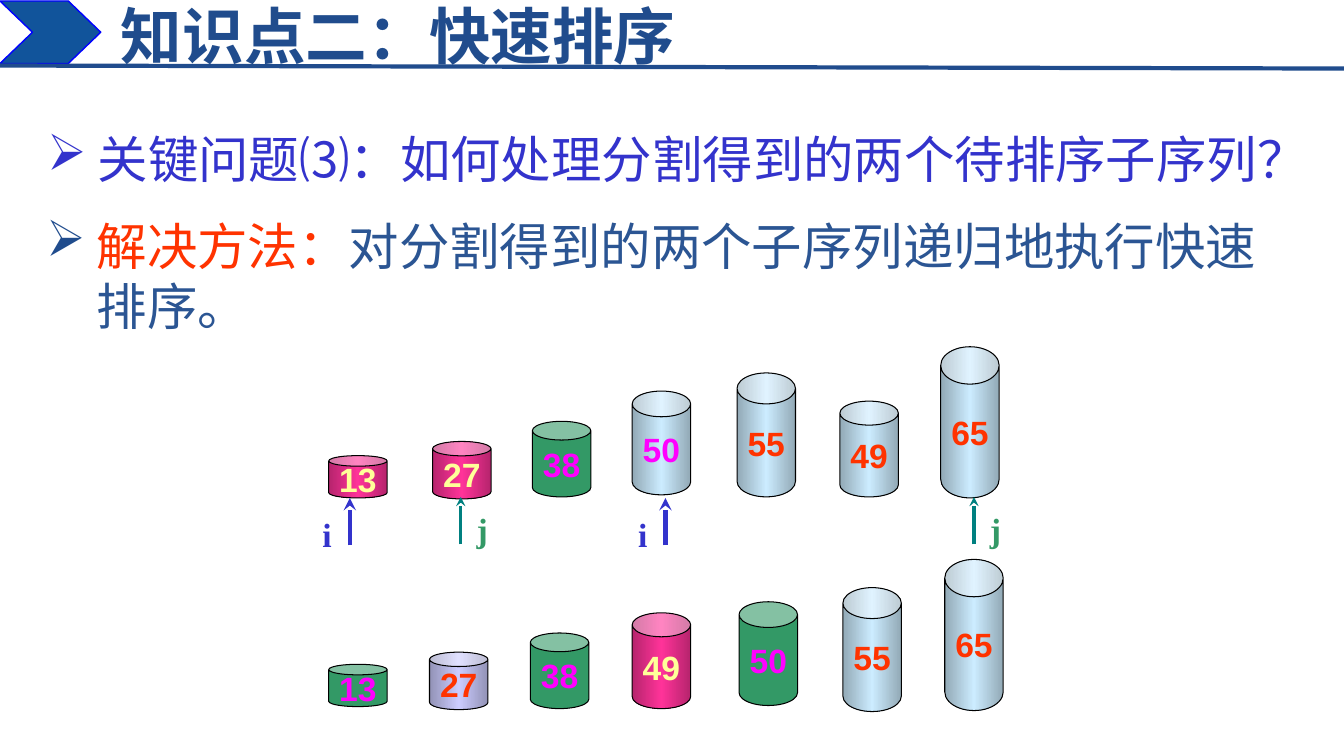
import copy

import lxml.etree
import pptx
import pptx.dml.color
import pptx.enum.shapes
import pptx.enum.text
import pptx.oxml.ns
import pptx.util

RGBColor = pptx.dml.color.RGBColor
NAVY = RGBColor(0x20, 0x4C, 0x8D)
CHEVRON_BLUE = RGBColor(0x11, 0x54, 0x9B)
PURE_BLUE = RGBColor(0x00, 0x00, 0xFF)
BODY_BLUE = RGBColor(0x2B, 0x55, 0x93)
VIOLET = RGBColor(0x33, 0x33, 0xCC)
TEAL = RGBColor(0x00, 0x80, 0x80)
GREEN = RGBColor(0x33, 0x99, 0x66)
ORANGE = RGBColor(0xFF, 0x33, 0x00)
MAGENTA = RGBColor(0xFF, 0x00, 0xFF)
YELLOW = RGBColor(0xFF, 0xFF, 0x99)
BLACK = RGBColor(0x00, 0x00, 0x00)
PINK = RGBColor(0xFF, 0x33, 0x99)
DARK_PINK = RGBColor(0xB6, 0x24, 0x6D)
ICE = RGBColor(0xCC, 0xEC, 0xFF)
DARK_ICE = RGBColor(0x92, 0xA9, 0xB6)
LILAC = RGBColor(0xCC, 0xCC, 0xFF)
DARK_LILAC = RGBColor(0x92, 0x92, 0xB6)

CAN_WIDTH = 0.58
CAN_SIZES = {
    13: (0.42, 0.25), 27: (0.57, 0.25), 38: (0.75, 0.32), 49: (0.95, 0.41),
    50: (1.03, 0.44), 55: (1.23, 0.53), 65: (1.5, 0.64),
}
CAN_LOOKS = {
    "sorted": ((GREEN,), MAGENTA),
    "moved": ((DARK_PINK, PINK), YELLOW),
    "single": ((DARK_LILAC, LILAC), ORANGE),
    "waiting": ((DARK_ICE, ICE), ORANGE),
    "pivot": ((DARK_ICE, ICE), MAGENTA),
}
CANS = [
    (13, 3.26, 4.94, "moved"), (27, 4.29, 4.95, "moved"),
    (38, 5.28, 4.93, "sorted"), (50, 6.27, 4.91, "pivot"),
    (55, 7.31, 4.93, "waiting"), (49, 8.33, 4.93, "waiting"),
    (65, 9.33, 4.94, "waiting"),
    (13, 3.26, 7.01, "sorted"), (27, 4.26, 7.04, "single"),
    (38, 5.26, 7.03, "sorted"), (49, 6.27, 7.03, "moved"),
    (50, 7.33, 7.0, "sorted"), (55, 8.36, 7.06, "waiting"),
    (65, 9.37, 7.05, "waiting"),
]
POINTERS = {
    "i": {"line": VIOLET, "text": VIOLET, "weight": 3, "tip": 4.94, "offset": -0.37, "top": 5.05},
    "j": {"line": TEAL, "text": GREEN, "weight": 2.25, "tip": 4.93, "offset": 0.06, "top": 5},
}


class SlideBuilder:
    serif = "Times New Roman"
    sans = "Arial"

    def __init__(self, deck):
        self.page = deck.slides.add_slide(deck.slide_layouts[5])
        self.column = self.row = pptx.util.Inches(1)

    def place(self, left, top, width, height):
        return (round(left * self.column), round(top * self.row),
                round(width * self.column), round(height * self.row))

    def apply(self, target, values):
        for name, value in values.items():
            setattr(target, name, value)

    def add_span(self, para, text, size, color, bold=False, font=serif):
        span = para.add_run()
        span.text = text
        self.apply(span.font, {"name": font, "size": pptx.util.Pt(size), "bold": bold})
        span.font.color.rgb = color

    def add_child(self, parent, tag, **attributes):
        return lxml.etree.SubElement(parent, pptx.oxml.ns.qn(tag), attributes)

    def title(self, area, text):
        box = self.page.shapes.title
        self.apply(box, dict(zip(("left", "top", "width", "height"), self.place(*area))))
        self.apply(box.text_frame, {
            "word_wrap": True,
            "auto_size": pptx.enum.text.MSO_AUTO_SIZE.NONE,
            "vertical_anchor": pptx.enum.text.MSO_ANCHOR.MIDDLE,
        })
        para = box.text_frame.paragraphs[0]
        para.alignment = pptx.enum.text.PP_ALIGN.JUSTIFY
        self.add_span(para, text, 44, NAVY, True)

    def text(self, area, spans, size, bold=False, bullet=None):
        box = self.page.shapes.add_textbox(*self.place(*area))
        box.text_frame.word_wrap = True
        para = box.text_frame.paragraphs[0]
        if bullet:
            properties = para._p.get_or_add_pPr()
            indent = round(self.column / 2)
            properties.set("marL", str(indent))
            properties.set("indent", str(-indent))
            color = self.add_child(properties, "a:buClr")
            self.add_child(color, "a:srgbClr", val=str(bullet))
            self.add_child(properties, "a:buChar", char="➢")
        for words, color in spans:
            self.add_span(para, words, size, color, bold)

    def shape(self, kind, area, adjustment, fills, outline, weight):
        shape = self.page.shapes.add_shape(kind, *self.place(*area))
        shape.shadow.inherit = False
        shape.adjustments[0] = adjustment
        if len(fills) == 1:
            shape.fill.solid()
            shape.fill.fore_color.rgb = fills[0]
        else:
            edge, center = fills
            shape.fill.gradient()
            shape.fill.gradient_angle = 0
            stops = shape._element.spPr.find(".//" + pptx.oxml.ns.qn("a:gsLst"))
            stops.append(copy.deepcopy(stops[0]))
            for stop, position, color in zip(shape.fill.gradient_stops, (0, 0.5, 1), (edge, center, edge)):
                stop.position = position
                stop.color.rgb = color
        shape.line.color.rgb = outline
        shape.line.width = pptx.util.Pt(weight)
        return shape

    def can(self, value, left, bottom, look):
        height, rim = CAN_SIZES[value]
        fills, color = CAN_LOOKS[look]
        shape = self.shape(pptx.enum.shapes.MSO_SHAPE.CAN, (left, bottom - height, CAN_WIDTH, height),
                           rim, fills, BLACK, 0.75)
        self.apply(shape.text_frame, {
            "word_wrap": False,
            "vertical_anchor": pptx.enum.text.MSO_ANCHOR.MIDDLE,
        })
        para = shape.text_frame.paragraphs[0]
        para.alignment = pptx.enum.text.PP_ALIGN.CENTER
        self.add_span(para, str(value), 24, color, True, self.sans)

    def line(self, start, end, color, weight, arrow=False):
        line = self.page.shapes.add_connector(
            pptx.enum.shapes.MSO_CONNECTOR.STRAIGHT, *self.place(*start, *end))
        line.line.color.rgb = color
        line.line.width = pptx.util.Pt(weight)
        if arrow:
            self.add_child(line.line._get_or_add_ln(), "a:tailEnd", type="stealth")
        self.add_child(line._element.spPr, "a:effectLst")

    def pointer(self, name, x):
        look = POINTERS[name]
        self.line((x, look["tip"] + 0.47), (x, look["tip"]), look["line"], look["weight"], True)
        self.text((x + look["offset"], look["top"], 0.25, 0.5), [(name, look["text"])], 24, True)


def main():
    deck = pptx.Presentation()
    deck.slide_width = pptx.util.Inches(13.33)
    deck.slide_height = pptx.util.Inches(7.5)
    slide = SlideBuilder(deck)
    slide.shape(pptx.enum.shapes.MSO_SHAPE.CHEVRON, (0, 0.01, 1, 0.62), 0.52, (CHEVRON_BLUE,), PURE_BLUE, 1)
    slide.line((0, 0.65), (13.33, 0.68), NAVY, 3)
    slide.title((1.1, 0.06, 11.86, 0.57), "知识点二：快速排序")
    slide.text((0.37, 1.22, 12.61, 0.71),
               [("关键问题⑶：如何处理分割得到的两个待排序子序列？", VIOLET)], 36, bullet=VIOLET)
    slide.text((0.36, 2.08, 12.49, 1.31),
               [("解决方法：", ORANGE), ("对分割得到的两个子序列递归地执行快速排序。", BODY_BLUE)],
               36, bullet=NAVY)
    for can in CANS:
        slide.can(*can)
    for name, x in (("i", 3.47), ("j", 4.57), ("i", 6.6), ("j", 9.66)):
        slide.pointer(name, x)
    deck.save("out.pptx")


if __name__ == "__main__":
    main()
